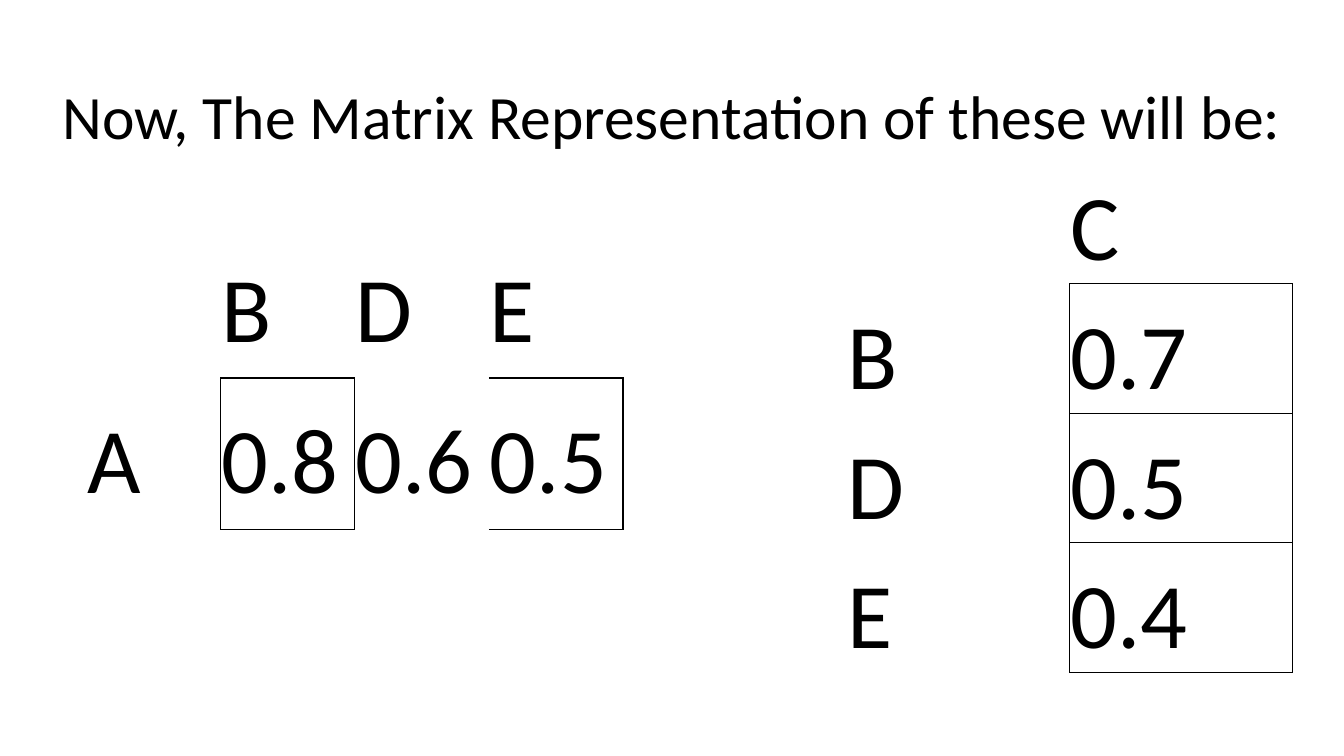
"""Build a slide that shows two fuzzy relations as matrices."""
import dataclasses

import lxml.etree
import pptx
import pptx.dml.color
import pptx.enum.text
import pptx.oxml.ns
import pptx.presentation
import pptx.slide
import pptx.table
import pptx.util

SCALE = 9144
FONT = "Calibri"
BLACK = pptx.dml.color.RGBColor(0, 0, 0)
NO_GRID = "{2D5ABB26-0587-4C30-8999-92F81FD0307C}"
TITLE = "Now, The Matrix Representation of these will be:"


@dataclasses.dataclass(frozen=True)
class Matrix:
    left: int
    top: int
    width: int
    height: int
    rows: list[list[str]]
    edges: dict[tuple[int, int], str]


MATRICES = [
    Matrix(86, 225, 133, 150, [["", "B", "D", "E"], ["A", "0.8", "0.6", "0.5"]],
           {(0, 1): "B", (0, 3): "B", (1, 0): "R", (1, 1): "LTB", (1, 3): "RTB"}),
    Matrix(840, 153, 221, 120, [["", "C"], ["B", "0.7"], ["D", "0.5"], ["E", "0.4"]],
           {(0, 1): "B", (1, 0): "R", (1, 1): "LRTB", (2, 0): "R",
            (2, 1): "LRT", (3, 0): "R", (3, 1): "LRB"}),
]


def px(size: int) -> pptx.util.Emu:
    """Turn px into EMU."""
    return pptx.util.Emu(size * SCALE)


def style(frame: pptx.text.text.TextFrame, size: int) -> None:
    """Set the font of the first paragraph."""
    for run in frame.paragraphs[0].runs:
        run.font.name = FONT
        run.font.size = pptx.util.Pt(size)
        run.font.color.rgb = BLACK


def add_edge(cell: pptx.table._Cell, side: str) -> None:
    """Draw one border of a cell."""
    name = pptx.oxml.ns.qn
    props = cell._tc.get_or_add_tcPr()
    line = lxml.etree.SubElement(props, name(f"a:ln{side}"), w="12700")
    fill = lxml.etree.SubElement(line, name("a:solidFill"))
    lxml.etree.SubElement(fill, name("a:srgbClr"), val=str(BLACK))


def fill_cell(cell: pptx.table._Cell, text: str, edges: str) -> None:
    """Write and border one cell."""
    cell.margin_left = cell.margin_right = px(1)
    cell.margin_top = cell.margin_bottom = px(1)
    cell.vertical_anchor = pptx.enum.text.MSO_ANCHOR.MIDDLE
    cell.text_frame.text = text
    cell.text_frame.paragraphs[0].line_spacing = 1.15
    style(cell.text_frame, 66)
    for side in edges:
        add_edge(cell, side)
    cell.fill.background()


def add_matrix(slide: pptx.slide.Slide, matrix: Matrix) -> None:
    """Draw a matrix as a table."""
    count, span = len(matrix.rows), len(matrix.rows[0])
    frame = slide.shapes.add_table(
        count, span, px(matrix.left), px(matrix.top),
        px(matrix.width * span), px(matrix.height * count))
    table = frame.table
    table.first_row = table.horz_banding = False
    table._tbl.tblPr.find(pptx.oxml.ns.qn("a:tableStyleId")).text = NO_GRID
    for row, texts in enumerate(matrix.rows):
        for col, text in enumerate(texts):
            fill_cell(table.cell(row, col), text, matrix.edges.get((row, col), ""))


def add_title(slide: pptx.slide.Slide) -> None:
    """Write the title."""
    frame = slide.shapes.add_textbox(px(24), px(72), px(1286), px(158)).text_frame
    frame.word_wrap = True
    frame.text = TITLE
    frame.paragraphs[0].alignment = pptx.enum.text.PP_ALIGN.CENTER
    style(frame, 44)


def main() -> None:
    """Build and save the slide."""
    deck = pptx.Presentation()
    deck.slide_width, deck.slide_height = px(1333), px(750)
    slide = deck.slides.add_slide(deck.slide_layouts[6])
    add_title(slide)
    for matrix in MATRICES:
        add_matrix(slide, matrix)
    deck.save("out.pptx")


if __name__ == "__main__":
    main()
